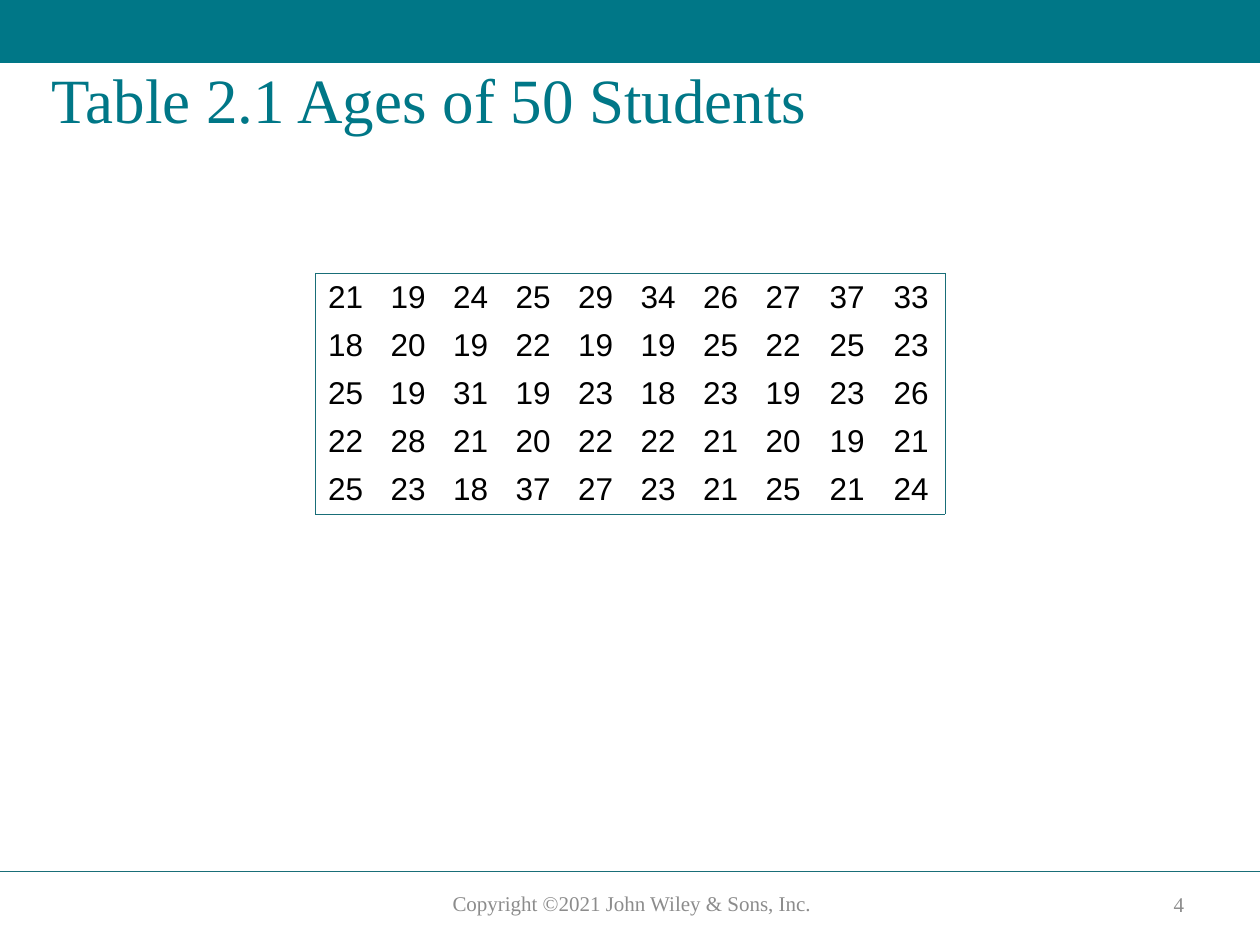
from lxml import etree
from pptx import Presentation
from pptx.dml.color import RGBColor
from pptx.enum.shapes import MSO_CONNECTOR, MSO_SHAPE
from pptx.enum.text import MSO_ANCHOR, PP_ALIGN
from pptx.oxml.ns import qn
from pptx.util import Cm, Pt

TITLE = "Table 2.1 Ages of 50 Students"
COPYRIGHT = "Copyright ©2021 John Wiley & Sons, Inc."
PAGE_NUMBER = "4"
AGES = [
    [21, 19, 24, 25, 29, 34, 26, 27, 37, 33],
    [18, 20, 19, 22, 19, 19, 25, 22, 25, 23],
    [25, 19, 31, 19, 23, 18, 23, 19, 23, 26],
    [22, 28, 21, 20, 22, 22, 21, 20, 19, 21],
    [25, 23, 18, 37, 27, 23, 21, 25, 21, 24],
]
COLUMN_WIDTHS = [Cm(1.26)] * 7 + [Cm(1.29)] * 3
ROW_HEIGHT = Cm(0.97)

TEAL = RGBColor(0x00, 0x77, 0x87)
DARK_TEAL = RGBColor(0x19, 0x6E, 0x78)
GRAY = RGBColor(0x8C, 0x8C, 0x8C)
BLACK = RGBColor(0x00, 0x00, 0x00)
SERIF, SANS = "Times New Roman", "Arial"
NO_TABLE_STYLE = "{2D5ABB26-0587-4C30-8999-92F81FD0307C}"
RECTANGLE = MSO_SHAPE.RECTANGLE
STRAIGHT = MSO_CONNECTOR.STRAIGHT
TOP, MIDDLE, CENTER = MSO_ANCHOR.TOP, MSO_ANCHOR.MIDDLE, PP_ALIGN.CENTER


def style_font(paragraph, name, size, color):
    paragraph.font.name = name
    paragraph.font.size = Pt(size)
    paragraph.font.color.rgb = color


def add_band_and_rule(page, width):
    band = page.shapes.add_shape(RECTANGLE, 0, 0, width, Cm(1.27))
    band.shadow.inherit = False
    band.fill.solid()
    band.fill.fore_color.rgb = TEAL
    band.line.fill.background()

    height = Cm(17.57)
    rule = page.shapes.add_connector(STRAIGHT, 0, height, width, height)
    rule.line.color.rgb = DARK_TEAL
    rule.line.width = Pt(1)
    etree.SubElement(rule._element.spPr, qn("a:effectLst"))


def add_footer(page, text, left, top, width, height, anchor):
    box = page.shapes.add_textbox(Cm(left), Cm(top), Cm(width), Cm(height))
    frame = box.text_frame
    frame.word_wrap = True
    frame.vertical_anchor = anchor
    paragraph = frame.paragraphs[0]
    paragraph.text = text
    paragraph.alignment = CENTER
    style_font(paragraph, SERIF, 12, GRAY)


def set_borders(cell, sides):
    """Draw the given sides, which must come in the order L, R, T, B."""
    properties = cell._tc.get_or_add_tcPr()
    for position, side in enumerate(sides):
        line = etree.Element(qn(f"a:ln{side}"), w=str(Pt(0.5)))
        fill = etree.SubElement(line, qn("a:solidFill"))
        etree.SubElement(fill, qn("a:srgbClr"), val=str(DARK_TEAL))
        properties.insert(position, line)


def add_age_table(page):
    last_row, last_column = len(AGES) - 1, len(COLUMN_WIDTHS) - 1
    table = page.shapes.add_table(
        len(AGES), len(COLUMN_WIDTHS), Cm(6.36), Cm(5.51),
        sum(COLUMN_WIDTHS), ROW_HEIGHT * len(AGES)).table
    table.first_row = table.horz_banding = False
    table._tbl.tblPr.find(qn("a:tableStyleId")).text = NO_TABLE_STYLE
    for column, width in zip(table.columns, COLUMN_WIDTHS):
        column.width = width

    for row, ages in enumerate(AGES):
        table.rows[row].height = ROW_HEIGHT
        for column, age in enumerate(ages):
            cell = table.cell(row, column)
            cell.margin_bottom = 0
            cell.fill.background()
            paragraph = cell.text_frame.paragraphs[0]
            paragraph.text = str(age)
            paragraph.space_after = Pt(3)
            style_font(paragraph, SANS, 18, BLACK)
            outer = {"L": column == 0, "R": column == last_column,
                     "T": row == 0, "B": row == last_row}
            set_borders(cell, [side for side, drawn in outer.items() if drawn])


def main():
    deck = Presentation()
    deck.slide_width, deck.slide_height = Cm(25.4), Cm(19.05)
    page = deck.slides.add_slide(deck.slide_layouts.get_by_name("Title Only"))

    add_band_and_rule(page, deck.slide_width)
    add_footer(page, COPYRIGHT, 8.18, 17.83, 9.12, 0.76, TOP)
    add_footer(page, PAGE_NUMBER, 22.99, 17.88, 1.55, 0.71, MIDDLE)

    title = page.shapes.title
    title.left, title.top = Cm(0.79), Cm(1.27)
    title.width, title.height = Cm(23.7), Cm(3.18)
    title.text_frame.vertical_anchor = TOP
    heading = title.text_frame.paragraphs[0]
    heading.text = TITLE
    heading.alignment = PP_ALIGN.LEFT
    heading.line_spacing = 0.9
    style_font(heading, SERIF, 36, TEAL)

    add_age_table(page)
    deck.save("out.pptx")


if __name__ == "__main__":
    main()
